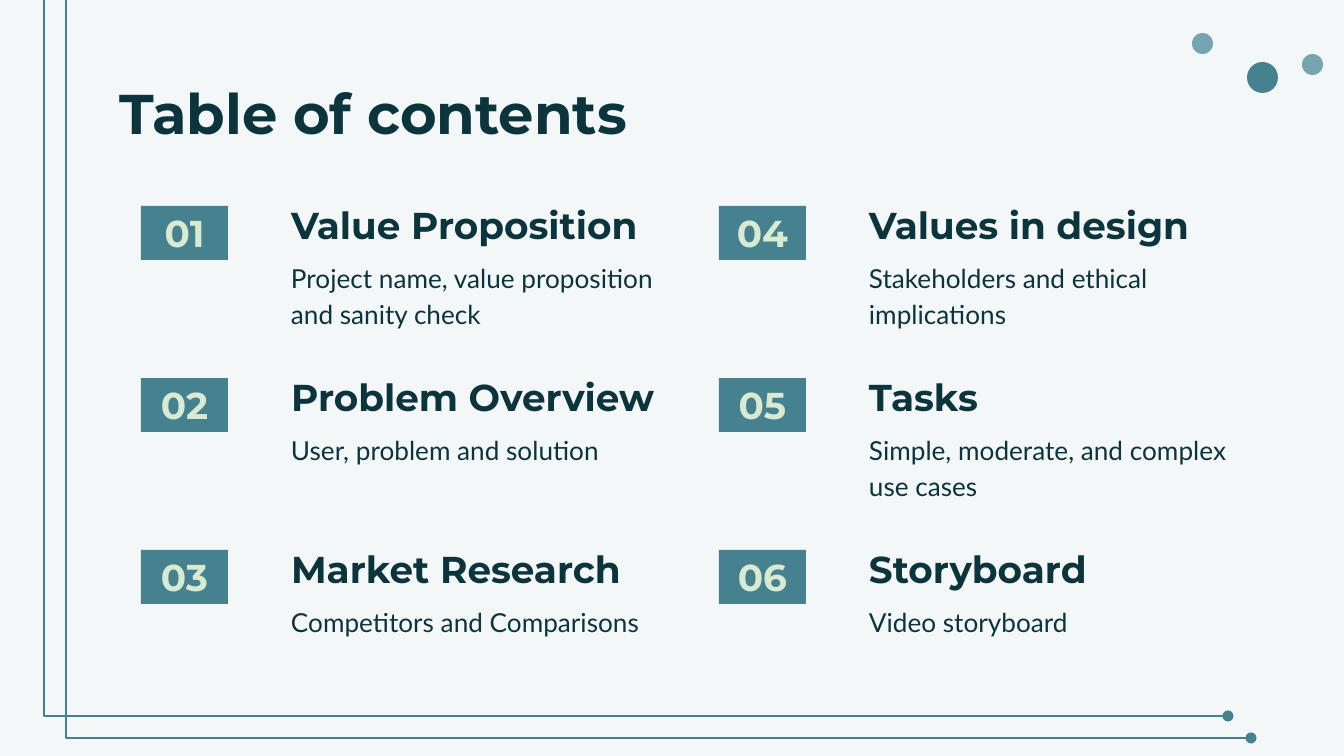
from dataclasses import dataclass

from lxml import etree
from pptx import Presentation
from pptx.dml.color import RGBColor
from pptx.enum.shapes import MSO_SHAPE
from pptx.enum.text import MSO_ANCHOR, MSO_AUTO_SIZE, PP_ALIGN
from pptx.oxml.ns import qn
from pptx.util import Emu, Pt

OVAL, RECTANGLE = MSO_SHAPE.OVAL, MSO_SHAPE.RECTANGLE
TOP, MIDDLE, BOTTOM = MSO_ANCHOR.TOP, MSO_ANCHOR.MIDDLE, MSO_ANCHOR.BOTTOM
LEFT, CENTER = PP_ALIGN.LEFT, PP_ALIGN.CENTER
NO_AUTOFIT = MSO_AUTO_SIZE.NONE

EMU_PER_PX = 914400 / 134.4
TITLE_ONLY = 5
COLORS = {
    "background": "F3F7F8",
    "ink": "0C343D",
    "teal": "45818E",
    "pale teal": "76A5AF",
    "pale green": "D9EAD3",
}


@dataclass(frozen=True)
class Style:
    font: str
    size: int
    color: str = "ink"
    bold: bool = False
    anchor: MSO_ANCHOR = TOP
    align: PP_ALIGN = LEFT
    line_spacing: float = 1.0


@dataclass(frozen=True)
class Dot:
    left: int
    top: int
    size: int
    color: str


@dataclass(frozen=True)
class Rail:
    x: int
    y: int
    end: int


@dataclass(frozen=True)
class Entry:
    heading: str
    description: str


TITLE = Style("Montserrat", 30, bold=True)
NUMBER = Style("Montserrat", 20, "pale green", True, MIDDLE, CENTER)
HEADING = Style("Montserrat", 20, bold=True, anchor=BOTTOM, line_spacing=1.15)
DESCRIPTION = Style("Lato", 14, line_spacing=1.15)

DOTS = [
    Dot(1247, 62, 31, "teal"),
    Dot(1192, 33, 21, "pale teal"),
    Dot(1302, 54, 21, "pale teal"),
]
RAILS = [Rail(44, 716, 1228), Rail(66, 738, 1251)]
ENTRIES = [
    Entry("Value Proposition", "Project name, value proposition and sanity check"),
    Entry("Problem Overview", "User, problem and solution"),
    Entry("Market Research", "Competitors and Comparisons"),
    Entry("Values in design", "Stakeholders and ethical implications"),
    Entry("Tasks", "Simple, moderate, and complex use cases"),
    Entry("Storyboard", "Video storyboard"),
]

# Contents grid, filled column by column
ROWS = 3
GRID_LEFT, GRID_TOP = 141, 206
COLUMN_STEP, ROW_STEP = 578, 172
BADGE_WIDTH, BOX_HEIGHT = 87, 54
TEXT_OFFSET, DESCRIPTION_OFFSET = 137, 39
HEADING_WIDTH, DESCRIPTION_WIDTH = 624, 414
INSET = 13


def px(length: int) -> Emu:
    return Emu(round(length * EMU_PER_PX))


def rgb(name: str) -> RGBColor:
    return RGBColor.from_string(COLORS[name])


def write(shape, text: str, style: Style) -> None:
    frame = shape.text_frame
    frame.text = text
    frame.word_wrap = True
    frame.auto_size = NO_AUTOFIT
    frame.vertical_anchor = style.anchor
    frame.margin_left = frame.margin_right = px(INSET)
    frame.margin_top = frame.margin_bottom = px(INSET)
    para = frame.paragraphs[0]
    para.alignment = style.align
    para.line_spacing = style.line_spacing
    para.font.name = style.font
    para.font.size = Pt(style.size)
    para.font.bold = style.bold
    para.font.color.rgb = rgb(style.color)


def add_text(page, left: int, top: int, width: int, text: str, style: Style) -> None:
    box = page.shapes.add_textbox(px(left), px(top), px(width), px(BOX_HEIGHT))
    write(box, text, style)


def add_solid(page, kind: MSO_SHAPE, left: int, top: int, width: int, height: int, color: str):
    shape = page.shapes.add_shape(kind, px(left), px(top), px(width), px(height))
    shape.shadow.inherit = False
    shape.fill.solid()
    shape.fill.fore_color.rgb = rgb(color)
    shape.line.fill.background()
    return shape


def add_rail(page, rail: Rail) -> None:
    builder = page.shapes.build_freeform(rail.x, 0, EMU_PER_PX)
    builder.add_line_segments([(rail.x, rail.y), (rail.end, rail.y)], close=False)
    shape = builder.convert_to_shape()
    shape.shadow.inherit = False
    shape.fill.background()
    shape.line.color.rgb = rgb("teal")
    shape.line.width = Pt(1.5)
    outline = shape.element.spPr.find(qn("a:ln"))
    etree.SubElement(outline, qn("a:tailEnd"), type="oval")


def add_entry(page, index: int, entry: Entry) -> None:
    column, row = divmod(index, ROWS)
    left = GRID_LEFT + column * COLUMN_STEP
    top = GRID_TOP + row * ROW_STEP
    text_left = left + TEXT_OFFSET
    badge = add_solid(page, RECTANGLE, left, top, BADGE_WIDTH, BOX_HEIGHT, "teal")
    write(badge, f"{index + 1:02d}", NUMBER)
    add_text(page, text_left, top, HEADING_WIDTH, entry.heading, HEADING)
    add_text(page, text_left, top + DESCRIPTION_OFFSET, DESCRIPTION_WIDTH,
             entry.description, DESCRIPTION)


def main() -> None:
    deck = Presentation()
    deck.slide_width, deck.slide_height = px(1344), px(756)
    page = deck.slides.add_slide(deck.slide_layouts[TITLE_ONLY])
    page.background.fill.solid()
    page.background.fill.fore_color.rgb = rgb("background")

    # Corner dots and rails
    for dot in DOTS:
        add_solid(page, OVAL, dot.left, dot.top, dot.size, dot.size, dot.color)
    for rail in RAILS:
        add_rail(page, rail)

    # Title
    title = page.shapes.title
    title.left, title.top = px(106), px(66)
    title.width, title.height = px(1133), px(84)
    write(title, "Table of contents", TITLE)

    # Contents
    for index, entry in enumerate(ENTRIES):
        add_entry(page, index, entry)

    deck.save("out.pptx")


if __name__ == "__main__":
    main()
